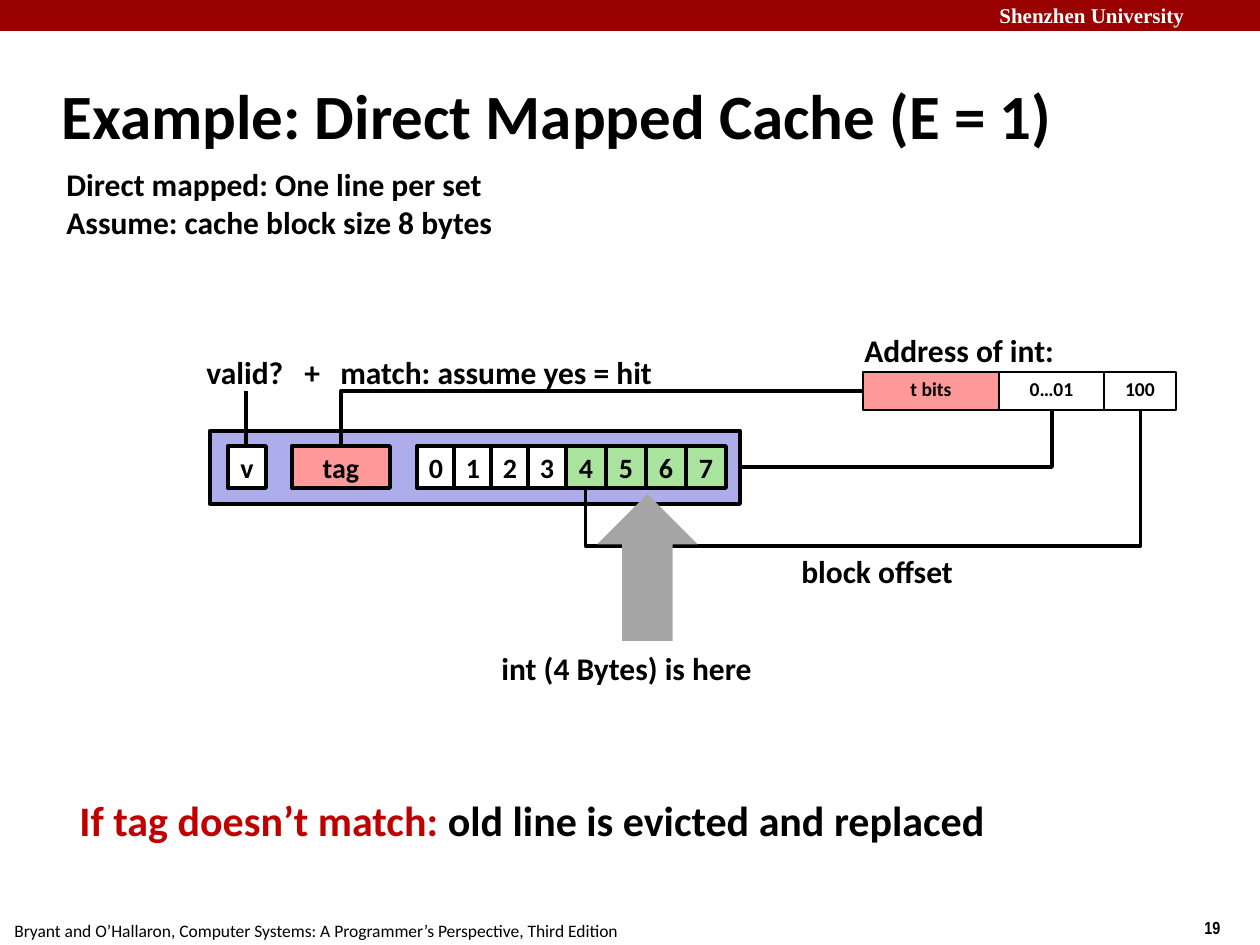
from lxml.etree import SubElement
from pptx import Presentation
from pptx.dml.color import RGBColor
from pptx.enum.shapes import MSO_CONNECTOR, MSO_SHAPE
from pptx.enum.text import MSO_ANCHOR, MSO_AUTO_SIZE, PP_ALIGN
from pptx.oxml.ns import qn
from pptx.util import Emu, Inches, Pt

PX = 914400 / 126
COLORS = {
    "black": "000000", "white": "FFFFFF", "banner": "990000", "tag": "FF9999",
    "line": "ADADEB", "int": "A9E39D", "arrow": "A6A6A6", "alert": "C00000",
}


def write(shape, lines, size, font="Calibri", bold=True, align=PP_ALIGN.LEFT, spacing=None):
    frame = shape.text_frame
    for number, spans in enumerate(lines):
        paragraph = frame.add_paragraph() if number else frame.paragraphs[0]
        paragraph.alignment = align
        paragraph.line_spacing = spacing
        for text, color in spans:
            span = paragraph.add_run()
            span.text = text
            for name, value in {"name": font, "size": Pt(size), "bold": bold}.items():
                setattr(span.font, name, value)
            span.font.color.rgb = RGBColor.from_string(COLORS[color])


def block(kind, place, fill, border=0):
    shape = page.shapes.add_shape(kind, *[Emu(round(v * PX)) for v in place])
    shape.shadow.inherit = False
    shape.fill.solid()
    shape.fill.fore_color.rgb = RGBColor.from_string(COLORS[fill])
    if border:
        shape.line.width = Pt(border)
        shape.line.color.rgb = RGBColor.from_string(COLORS["black"])
    else:
        shape.line.fill.background()
    shape.text_frame.vertical_anchor = MSO_ANCHOR.MIDDLE
    return shape


deck = Presentation()
deck.slide_width, deck.slide_height = Inches(10), Inches(7.5)
page = deck.slides.add_slide(deck.slide_layouts[5])

title = page.shapes.title
title_place = {"left": 49, "top": 62, "width": 1046, "height": 105}
for name, value in title_place.items():
    setattr(title, name, Emu(round(value * PX)))
title.text_frame.auto_size = MSO_AUTO_SIZE.NONE
title.text_frame.vertical_anchor = MSO_ANCHOR.MIDDLE
write(title, [[("Example: Direct Mapped Cache (E = 1)", "black")]], 36)

block(MSO_SHAPE.RECTANGLE, (0, 0, 1260, 31), "banner")

address_left = 863
for text, width, fill in [("t bits", 136, "tag"), ("0…01", 105, "white"), ("100", 72, "white")]:
    field = block(MSO_SHAPE.RECTANGLE, (address_left, 372, width, 38), fill, 1)
    write(field, [[(text, "black")]], 11.2, align=PP_ALIGN.CENTER, spacing=0.8)
    address_left += width

block(MSO_SHAPE.RECTANGLE, (210, 431, 530, 73), "line", 2.25)
cells = [("v", 228, 38, "white"), ("tag", 292, 98, "tag")]
cells += [(str(n), 417 + 37 * n, 38, "white") for n in range(4)]
cells += [(str(n), 566 + 40 * (n - 4), 40, "int") for n in range(4, 8)]
for text, left, width, fill in cells:
    cell = block(MSO_SHAPE.RECTANGLE, (left, 446, width, 42), fill, 2.25)
    cell.text_frame.word_wrap = False
    write(cell, [[(text, "black")]], 16, align=PP_ALIGN.CENTER)

connectors = [
    ("bentConnector2", (867, 282, 58, 312), {"rot": "5400000"}, None),
    ("bentConnector2", (341, 391, 522, 55), {"rot": "10800000", "flipV": "1"}, None),
    ("line", (246, 391, 0, 55), {}, None),
    ("bentConnector3", (824, 171, 78, 555), {"rot": "5400000"}, 175100),
]
for preset, (left, top, width, height), turn, bend in connectors:
    kind = MSO_CONNECTOR.STRAIGHT if preset == "line" else MSO_CONNECTOR.ELBOW
    ends = [Emu(round(v * PX)) for v in (left, top, left + width, top + height)]
    connector = page.shapes.add_connector(kind, *ends)
    connector.line.width = Pt(2)
    connector.line.color.rgb = RGBColor.from_string(COLORS["black"])
    properties = connector.element.spPr
    SubElement(properties, qn("a:effectLst"))
    for name, value in turn.items():
        properties.find(qn("a:xfrm")).set(name, value)
    geometry = properties.find(qn("a:prstGeom"))
    geometry.set("prst", preset)
    if bend:
        guide = SubElement(geometry.find(qn("a:avLst")), qn("a:gd"))
        guide.set("name", "adj1")
        guide.set("fmla", f"val {bend}")

block(MSO_SHAPE.UP_ARROW, (597, 494, 101, 147), "arrow")

wide = {"size": 18}
labels = [
    ((987, -4, 282, 38), [[("Shenzhen University", "white")]],
     {"size": 12, "font": "Times New Roman"}),
    ((1192, 911, 94, 34), [[("19", "black")]], {"size": 10, "font": "Arial Narrow"}),
    ((2, 914, 631, 34),
     [[("Bryant and O’Hallaron, Computer Systems: A Programmer’s Perspective, Third Edition",
        "black")]], {"size": 10, "bold": False}),
    ((54, 159, 452, 126), [[("Direct mapped: One line per set", "black")],
                           [("Assume: cache block size 8 bytes", "black")]], wide),
    ((852, 325, 215, 50), [[("Address of int:", "black")]], wide),
    ((328, 347, 338, 50), [[("match: assume yes = hit", "black")]], wide),
    ((194, 347, 140, 50), [[("valid?\t+", "black")]], wide),
    ((489, 643, 276, 50), [[("int (4 Bytes) is here", "black")]], wide),
    ((789, 546, 178, 50), [[("block offset", "black")]], wide),
    ((67, 788, 932, 63), [[("If tag doesn’t match: ", "alert"),
                           ("old line is evicted and replaced", "black")]], {"size": 24}),
]
for place, lines, style in labels:
    box = page.shapes.add_textbox(*[Emu(round(v * PX)) for v in place])
    box.text_frame.word_wrap = place[0] > 900
    if "\t" in lines[0][0][0]:
        tabs = SubElement(box.text_frame.paragraphs[0]._p.get_or_add_pPr(), qn("a:tabLst"))
        stop = SubElement(tabs, qn("a:tab"))
        stop.set("pos", str(round(98 * PX)))
        stop.set("algn", "l")
    write(box, lines, **style)

deck.save("out.pptx")
